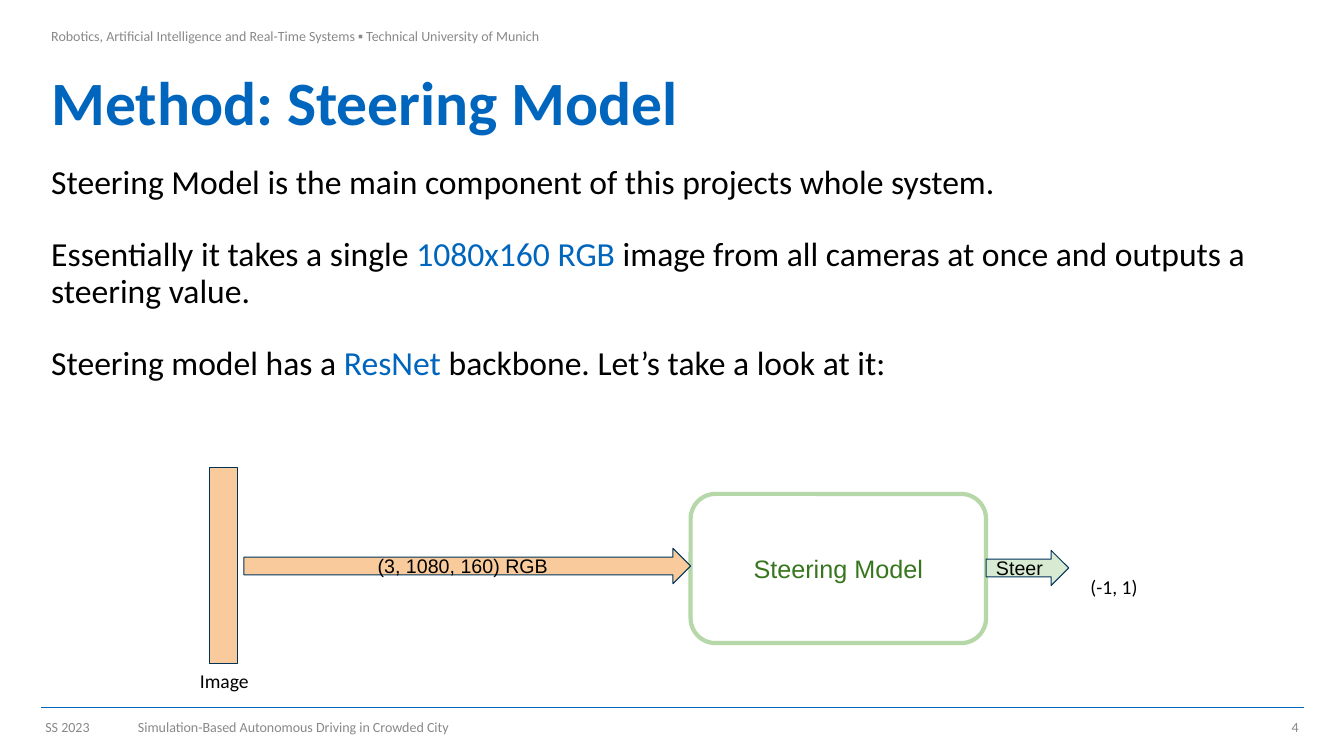
from dataclasses import dataclass

from lxml.etree import SubElement
from pptx import Presentation
from pptx.dml.color import RGBColor
from pptx.enum.shapes import MSO_CONNECTOR, MSO_SHAPE as Shape
from pptx.enum.text import MSO_ANCHOR as Anchor, PP_ALIGN as Align
from pptx.oxml.ns import qn
from pptx.util import Inches, Pt


@dataclass(frozen=True)
class Theme:
    sans: str = "Calibri"
    label: str = "Arial"
    blue: str = "0065BD"
    navy: str = "003359"
    black: str = "000000"
    white: str = "FFFFFF"
    gray: str = "898989"
    dim: str = "888888"
    orange: str = "F9CB9C"
    mint: str = "D9EAD3"
    green: str = "B6D7A8"
    forest: str = "38761D"
    title: int = 44
    body: int = 24
    model: int = 18
    note: int = 14
    small: int = 10
    gap: int = 26
    thin: float = 0.75
    thick: float = 3


T = Theme()

# Each paragraph is a list of (text, colour) runs.
HEAD = [[("Robotics, Artificial Intelligence and Real-Time Systems ▪ "
          "Technical University of Munich", T.gray)]]
TITLE = [[("Method: Steering Model", T.blue)]]
BODY = [
    [("Steering Model is the main component of this projects whole system.", T.black)],
    [("Essentially it takes a single ", T.black),
     ("1080x160 RGB", T.blue),
     (" image from all cameras at once and outputs a steering value.", T.black)],
    [("Steering model has a ", T.black),
     ("ResNet", T.blue),
     (" backbone. Let’s take a look at it:", T.black)],
]

LEFT, WIDE = 0.41, 12.52
FOOT_TOP, FOOT_TALL = 7.1, 0.23
# text, left, width, side inset, alignment
FOOT = [
    ("SS 2023", LEFT, 0.74, 0.04, Align.LEFT),
    ("Simulation-Based Autonomous Driving in Crowded City", 1.27, 8.61, 0.1, Align.LEFT),
    ("4", 12.33, 0.59, 0.04, Align.RIGHT),
]

# kind, box, fill, line, line width, text, size, text colour, alignment
FLOW = [
    (Shape.ROUNDED_RECTANGLE, (6.85, 4.9, 2.93, 1.48), T.white, T.green, T.thick,
     "Steering Model", T.model, T.forest, Align.CENTER),
    (Shape.RECTANGLE, (2.08, 4.64, 0.28, 1.94), T.orange, T.navy, T.thin,
     "", T.note, T.black, Align.CENTER),
    (Shape.RIGHT_ARROW, (2.42, 5.44, 4.43, 0.35), T.orange, T.navy, T.thin,
     "(3, 1080, 160) RGB", T.note, T.black, Align.CENTER),
    (Shape.RIGHT_ARROW, (9.78, 5.46, 0.82, 0.35), T.mint, T.navy, T.thin,
     "Steer", T.note, T.black, Align.LEFT),
]

NOTES = [
    ("Image", (1.83, 6.54, 0.79, 0.44)),
    ("(-1, 1)", (10.6, 5.6, 0.9, 0.44)),
]


def color(code):
    return RGBColor.from_string(code)


def write(frame, paras, size, font=T.sans, bold=False, align=Align.LEFT,
          anchor=Anchor.TOP, inset=(0.1, 0.05, 0.1, 0.05), pitch=None, gap=0):
    """Fill a text frame; inset is left, top, right, bottom in inches."""
    frame.word_wrap = True
    frame.vertical_anchor = anchor
    (frame.margin_left, frame.margin_top,
     frame.margin_right, frame.margin_bottom) = map(Inches, inset)
    for i, runs in enumerate(paras):
        para = frame.add_paragraph() if i else frame.paragraphs[0]
        para.alignment = align
        if pitch:
            para.line_spacing = pitch
        if i and gap:
            para.space_before = Pt(gap)
        for text, code in runs:
            run = para.add_run()
            run.text = text
            run.font.name = font
            run.font.size = Pt(size)
            run.font.bold = bold
            run.font.color.rgb = color(code)


def add_text(slide, box, paras, size, **style):
    area = slide.shapes.add_textbox(*map(Inches, box))
    write(area.text_frame, paras, size, **style)


def add_part(slide, kind, box, fill, line, width, text, size, code, align):
    part = slide.shapes.add_shape(kind, *map(Inches, box))
    part.shadow.inherit = False
    part.fill.solid()
    part.fill.fore_color.rgb = color(fill)
    part.line.color.rgb = color(line)
    part.line.width = Pt(width)
    if text:
        write(part.text_frame, [[(text, code)]], size, font=T.label,
              align=align, anchor=Anchor.MIDDLE, inset=(0.1,) * 4)


def add_rule(slide, top):
    rule = slide.shapes.add_connector(
        MSO_CONNECTOR.STRAIGHT, Inches(LEFT), Inches(top),
        Inches(LEFT + WIDE), Inches(top))
    rule.line.color.rgb = color(T.blue)
    rule.line.width = Pt(T.thin)
    SubElement(rule._element.spPr, qn("a:effectLst"))


def main():
    deck = Presentation()
    deck.slide_width, deck.slide_height = Inches(13.33), Inches(7.5)
    slide = deck.slides.add_slide(deck.slide_layouts[6])

    add_rule(slide, 7.02)
    add_text(slide, (LEFT, 0.01, 7.51, 0.68), HEAD, T.small,
             inset=(0.1, 0.26, 0.1, 0.05))
    add_text(slide, (LEFT, 0.68, WIDE, 0.74), TITLE, T.title, bold=True,
             anchor=Anchor.MIDDLE, pitch=0.9)
    add_text(slide, (LEFT, 1.59, WIDE, 2.83), BODY, T.body, pitch=0.9, gap=T.gap)

    for text, left, width, side, align in FOOT:
        add_text(slide, (left, FOOT_TOP, width, FOOT_TALL), [[(text, T.dim)]],
                 T.small, align=align, anchor=Anchor.MIDDLE,
                 inset=(side, 0.05, side, 0.05))
    for part in FLOW:
        add_part(slide, *part)
    for text, box in NOTES:
        add_text(slide, box, [[(text, T.black)]], T.note,
                 align=Align.CENTER, inset=(0.1,) * 4)

    deck.save("out.pptx")


if __name__ == "__main__":
    main()
